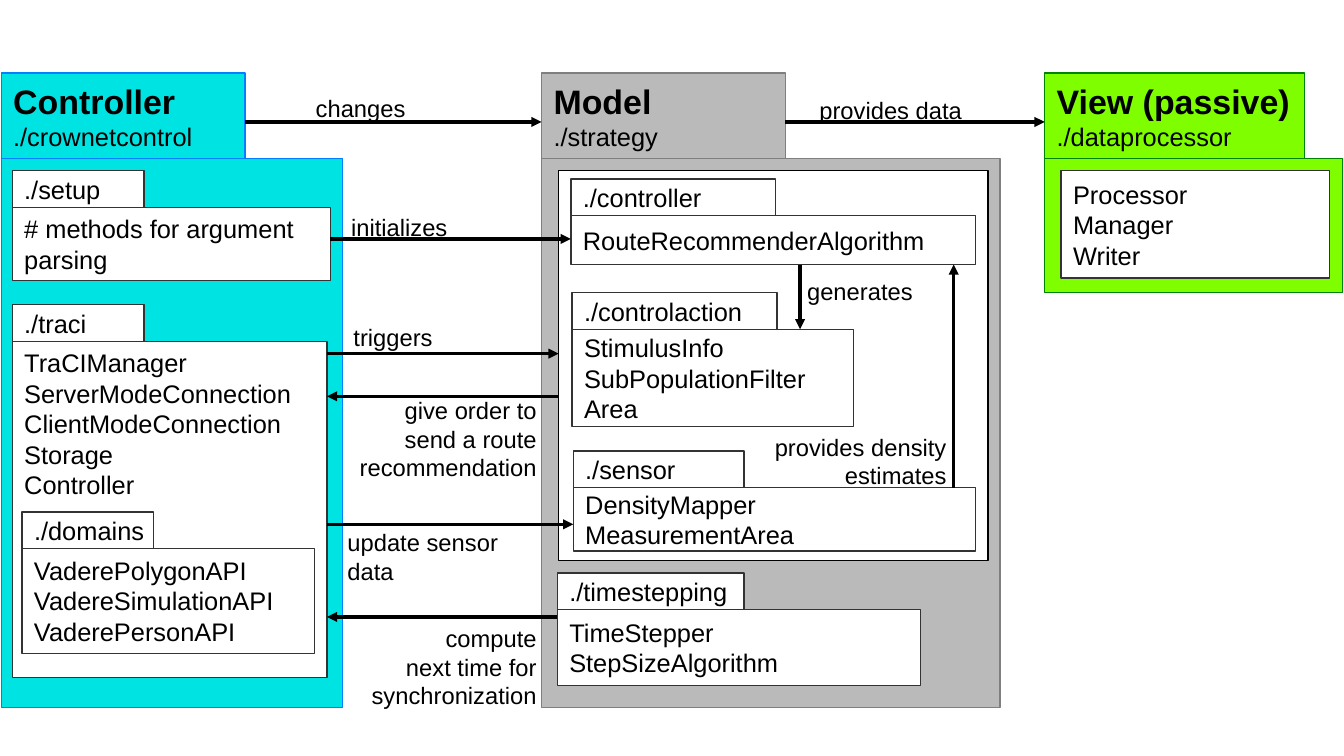
from lxml.etree import SubElement
from pptx import Presentation
from pptx.dml.color import RGBColor
from pptx.enum.shapes import MSO_CONNECTOR, MSO_SHAPE
from pptx.enum.text import MSO_ANCHOR, MSO_AUTO_SIZE, PP_ALIGN
from pptx.oxml.ns import qn
from pptx.util import Pt

BLACK = RGBColor(0x00, 0x00, 0x00)
WHITE = RGBColor(0xFF, 0xFF, 0xFF)
DARK = RGBColor(0x33, 0x33, 0x33)
CYAN, BLUE = RGBColor(0x00, 0xE3, 0xE3), RGBColor(0x00, 0x7F, 0xFE)
SILVER, GRAY = RGBColor(0xBA, 0xBA, 0xBA), RGBColor(0x7F, 0x7F, 0x7F)
LIME, GREEN = RGBColor(0x7F, 0xFE, 0x00), RGBColor(0x00, 0x84, 0x00)

FONT = "Arial"
SLIDE_W, SLIDE_H = 793.4, 446.4
COMPONENT_TOP, COMPONENT_TAB_H, TAB_H = 43.2, 50.4, 21.6
TOP, MIDDLE = MSO_ANCHOR.TOP, MSO_ANCHOR.MIDDLE
LEFT, RIGHT = PP_ALIGN.LEFT, PP_ALIGN.RIGHT

# title, folder, left, tab width, body width, body height, fill, line
COMPONENTS = [
    ("Controller", "./crownetcontrol", 0.7, 144, 201.6, 324, CYAN, BLUE),
    ("Model", "./strategy", 319.7, 144, 270.7, 324, SILVER, GRAY),
    ("View (passive)", "./dataprocessor", 616.7, 153.4, 175.7, 79.2, LIME, GREEN),
]
STRATEGY_PANEL = (329.8, 100.8, 253.4, 230.4)
VIEW_PANEL = (626.4, 100.8, 158.4, 63.4)
VIEW_CLASSES = ["Processor", "Manager", "Writer"]

# folder, left, top, tab width, body width, body height, anchor, contents
PACKAGES = [
    ("./setup", 7.2, 100.8, 77.8, 187.9, 43.2, TOP,
     ["# methods for argument", "parsing"]),
    ("./traci", 7.2, 180, 77.8, 185.8, 198.7, TOP,
     ["TraCIManager", "ServerModeConnection", "ClientModeConnection",
      "Storage", "Controller"]),
    ("./domains", 13, 302.4, 77.8, 172.8, 61.9, TOP,
     ["VaderePolygonAPI", "VadereSimulationAPI", "VaderePersonAPI"]),
    ("./controller", 337, 105.8, 121, 239, 28.8, MIDDLE,
     ["RouteRecommenderAlgorithm"]),
    ("./controlaction", 337.7, 172.8, 121, 166.3, 57.6, MIDDLE,
     ["StimulusInfo", "SubPopulationFilter", "Area"]),
    ("./sensor", 338.4, 266.4, 100.8, 237.6, 37.4, MIDDLE,
     ["DensityMapper", "MeasurementArea"]),
    ("./timestepping", 329, 338.4, 110.2, 214.6, 44.6, MIDDLE,
     ["TimeStepper", "StepSizeAlgorithm"]),
]

# arrow start, arrow end, label box (left, top, width, height), align, label
RELATIONS = [
    ((144.7, 72), (319.7, 72), (179.3, 51.8, 86.4, 36), LEFT, ["changes"]),
    ((463.7, 72), (616.7, 72), (476.6, 53.3, 121.7, 36), LEFT, ["provides data"]),
    ((195.1, 141.1), (337, 141.1), (200.2, 122.4, 86.4, 36), LEFT, ["initializes"]),
    ((193, 208.8), (329.8, 208.8), (201.6, 187.2, 86.4, 36), LEFT, ["triggers"]),
    ((329.8, 234), (193, 234), (194.4, 230.4, 129.6, 54), RIGHT,
     ["give order to", "send a route recommendation"]),
    ((193, 309.6), (338.4, 309.6), (198, 308.2, 121.7, 54), LEFT,
     ["update sensor data"]),
    ((329, 364.3), (193, 364.3), (194.4, 365, 129.6, 54), RIGHT,
     ["compute", "next time for synchronization"]),
    ((472.3, 156.2), (472.3, 194.4), (469.4, 159.8, 86.4, 36), LEFT, ["generates"]),
    ((563, 288), (563, 156.2), (436.3, 252, 129.6, 54), RIGHT,
     ["provides density", "estimates"]),
]


def write(s, lines, size=15, title_size=None, align=LEFT, anchor=TOP, wrap=False):
    """Fill a shape with paragraphs; title_size makes the first a bold heading."""
    tf = s.text_frame
    tf.word_wrap = wrap
    tf.vertical_anchor = anchor
    tf.margin_left = tf.margin_right = Pt(7.2)
    tf.margin_top = tf.margin_bottom = Pt(3.6)
    for i, line in enumerate(lines):
        p = tf.add_paragraph() if i else tf.paragraphs[0]
        p.alignment = align
        r = p.add_run()
        r.text = line
        heading = bool(title_size) and i == 0
        r.font.name = FONT
        r.font.size = Pt(title_size if heading else size)
        r.font.bold = heading
        r.font.color.rgb = BLACK


def add_box(shapes, box, fill=WHITE, line=DARK):
    s = shapes.add_shape(MSO_SHAPE.RECTANGLE, *map(Pt, box))
    s.shadow.inherit = False
    s.fill.solid()
    s.fill.fore_color.rgb = fill
    s.line.color.rgb = line
    s.line.width = Pt(0)
    return s


def add_package(shapes, left, top, tab, body, fill=WHITE, line=DARK):
    """Draw a tab on top of a body, each given as (width, height)."""
    return (add_box(shapes, (left, top, *tab), fill, line),
            add_box(shapes, (left, top + tab[1], *body), fill, line))


def add_arrow(shapes, start, end):
    c = shapes.add_connector(MSO_CONNECTOR.STRAIGHT, *map(Pt, start + end))
    c.line.color.rgb = BLACK
    c.line.width = Pt(0)
    SubElement(c.line._get_or_add_ln(), qn("a:tailEnd"), type="triangle")
    SubElement(c._element.spPr, qn("a:effectLst"))


def main():
    prs = Presentation()
    prs.slide_width, prs.slide_height = Pt(SLIDE_W), Pt(SLIDE_H)
    shapes = prs.slides.add_slide(prs.slide_layouts[6]).shapes

    for title, folder, left, tab_w, body_w, body_h, fill, line in COMPONENTS:
        tab, _ = add_package(shapes, left, COMPONENT_TOP, (tab_w, COMPONENT_TAB_H),
                             (body_w, body_h), fill, line)
        write(tab, [title, folder], title_size=20, anchor=MIDDLE)

    add_box(shapes, STRATEGY_PANEL, line=BLACK)
    write(add_box(shapes, VIEW_PANEL), VIEW_CLASSES, anchor=MIDDLE)

    for folder, left, top, tab_w, body_w, body_h, anchor, contents in PACKAGES:
        tab, body = add_package(shapes, left, top, (tab_w, TAB_H), (body_w, body_h))
        write(tab, [folder], anchor=MIDDLE)
        write(body, contents, anchor=anchor)

    for start, end, box, align, label in RELATIONS:
        add_arrow(shapes, start, end)
        s = shapes.add_textbox(*map(Pt, box))
        write(s, label, size=14, align=align, wrap=True)
        s.text_frame.auto_size = MSO_AUTO_SIZE.SHAPE_TO_FIT_TEXT

    prs.save("out.pptx")


if __name__ == "__main__":
    main()
